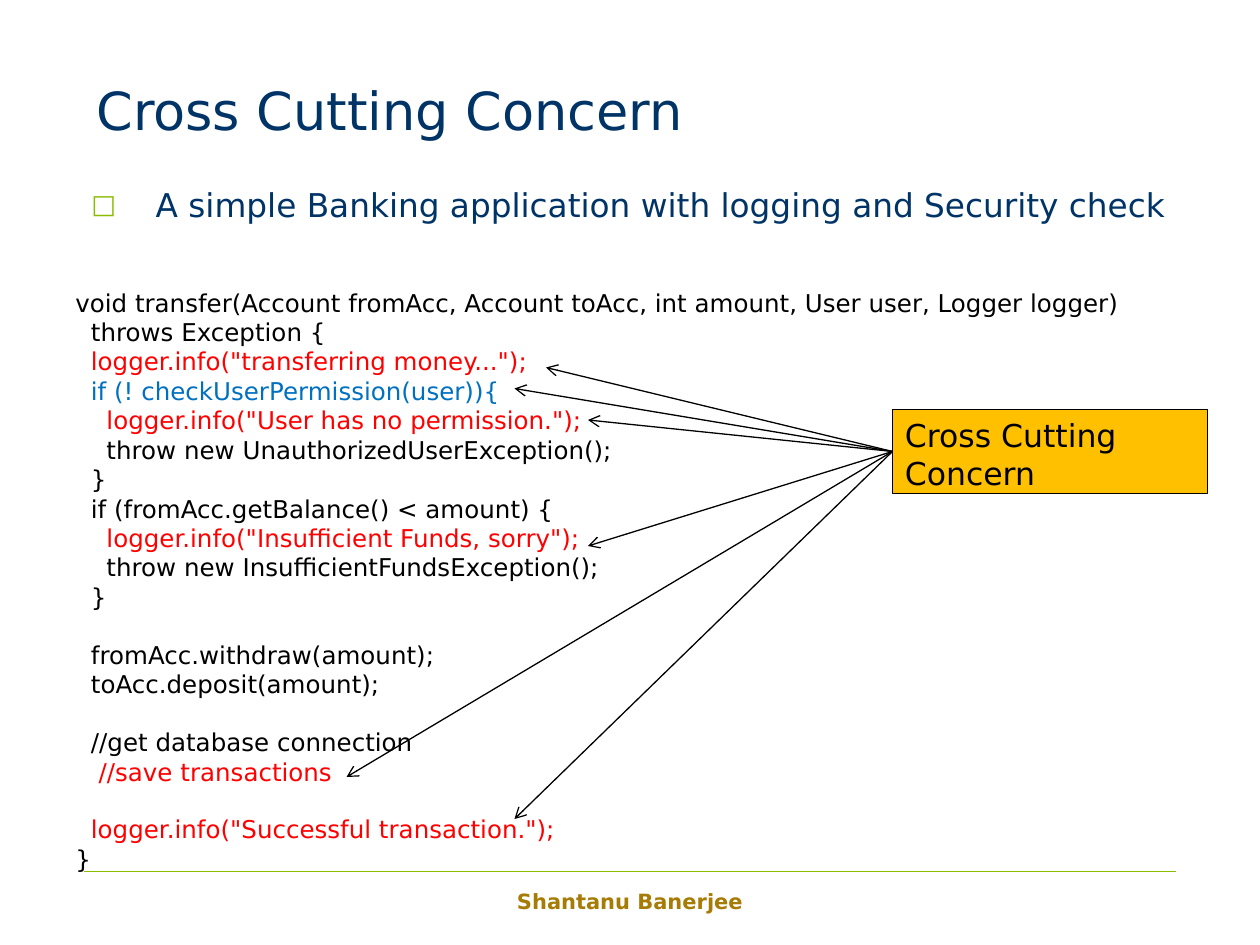
from dataclasses import dataclass
from typing import NamedTuple

from lxml import etree
from pptx import Presentation
from pptx.dml.color import RGBColor
from pptx.enum.shapes import MSO_CONNECTOR, MSO_SHAPE
from pptx.enum.text import MSO_ANCHOR, MSO_AUTO_SIZE, PP_ALIGN
from pptx.oxml.ns import qn
from pptx.util import Inches, Pt

LEFT, CENTER = PP_ALIGN.LEFT, PP_ALIGN.CENTER
TOP, BOTTOM = MSO_ANCHOR.TOP, MSO_ANCHOR.BOTTOM
STRAIGHT, RECT = MSO_CONNECTOR.STRAIGHT, MSO_SHAPE.RECTANGLE
NO_FIT = MSO_AUTO_SIZE.NONE
LEFT_SIDE = 1
CELL = Inches(10) / 120  # the slide is a grid of 120 columns by 90 rows


@dataclass(frozen=True)
class Theme:
    font: str = "DejaVu Sans"
    heading: str = "003366"
    accent: str = "8BBC00"
    author: str = "A67C06"
    ink: str = "000000"
    concern: str = "FF0000"
    security: str = "0070C0"
    callout: str = "FFC000"
    title_pt: float = 30
    bullet_pt: float = 18.7
    callout_pt: float = 18
    code_pt: float = 14
    author_pt: float = 12
    blank_line_pt: float = 16.3
    hairline_pt: float = 0.25
    line_pt: float = 0.75


T = Theme()


class Box(NamedTuple):
    col: float
    row: float
    cols: float
    rows: float


class CodeLine(NamedTuple):
    text: str
    color: str = T.ink
    blank_before: bool = False


CODE = (
    CodeLine("void transfer(Account fromAcc, Account toAcc, int amount, User user, Logger logger)"),
    CodeLine("  throws Exception {"),
    CodeLine('  logger.info("transferring money...");', T.concern),
    CodeLine("  if (! checkUserPermission(user)){", T.security),
    CodeLine('    logger.info("User has no permission.");', T.concern),
    CodeLine("    throw new UnauthorizedUserException();"),
    CodeLine("  }"),
    CodeLine("  if (fromAcc.getBalance() < amount) {"),
    CodeLine('    logger.info("Insufficient Funds, sorry");', T.concern),
    CodeLine("    throw new InsufficientFundsException();"),
    CodeLine("  }"),
    CodeLine("  fromAcc.withdraw(amount);", blank_before=True),
    CodeLine("  toAcc.deposit(amount);"),
    CodeLine("  //get database connection", blank_before=True),
    CodeLine("   //save transactions", T.concern),
    CodeLine('  logger.info("Successful transaction.");', T.concern, True),
    CodeLine("}"),
)
CONCERN_POINTS = ((52, 35), (49, 37), (56, 40), (56, 52), (33, 74), (49, 78))


def grid(*cells: float) -> list[int]:
    return [round(c * CELL) for c in cells]


def place(shape, box: Box) -> None:
    shape.left, shape.top, shape.width, shape.height = grid(*box)


def frame(shape, anchor=TOP):
    """Prepare a wrapping text frame with the common insets."""
    tf = shape.text_frame
    tf.word_wrap, tf.auto_size, tf.vertical_anchor = True, NO_FIT, anchor
    tf.margin_left = tf.margin_right = Inches(0.1)
    tf.margin_top = tf.margin_bottom = Inches(0.05)
    return tf


def write(p, text: str, *, size: float, color: str, bold=False, align=LEFT, before=0.0) -> None:
    p.alignment, p.space_before = align, Pt(before)
    r = p.add_run()
    r.text = text
    r.font.name, r.font.size, r.font.bold = T.font, Pt(size), bold
    r.font.color.rgb = RGBColor.from_string(color)


def add_bullet(p, char: str, color: str, indent: float) -> None:
    pPr = p._p.get_or_add_pPr()
    pPr.set("marL", str(Inches(indent)))
    pPr.set("indent", str(-Inches(indent)))
    clr = etree.SubElement(pPr, qn("a:buClr"))
    etree.SubElement(clr, qn("a:srgbClr"), val=color)
    etree.SubElement(pPr, qn("a:buSzPct"), val="80000")
    etree.SubElement(pPr, qn("a:buFont"), typeface=T.font)
    etree.SubElement(pPr, qn("a:buChar"), char=char)


def add_line(s, start, end, *, color: str, width: float, arrow=False):
    line = s.shapes.add_connector(STRAIGHT, *grid(*start, *end))
    line.line.color.rgb = RGBColor.from_string(color)
    line.line.width = Pt(width)
    if arrow:
        etree.SubElement(line.line._get_or_add_ln(), qn("a:tailEnd"), type="arrow")
    etree.SubElement(line._element.spPr, qn("a:effectLst"))
    return line


def add_text(s, box: Box):
    return frame(s.shapes.add_textbox(*grid(*box)))


def add_callout(s, box: Box, text: str):
    sp = s.shapes.add_shape(RECT, *grid(*box))
    sp.shadow.inherit = False
    sp.fill.solid()
    sp.fill.fore_color.rgb = RGBColor.from_string(T.callout)
    sp.line.color.rgb = RGBColor.from_string(T.ink)
    sp.line.width = Pt(T.line_pt)
    write(frame(sp).paragraphs[0], text, size=T.callout_pt, color=T.ink)
    return sp


def add_code(s, box: Box, lines: tuple[CodeLine, ...]) -> None:
    tf = add_text(s, box)
    for i, line in enumerate(lines):
        p = tf.add_paragraph() if i else tf.paragraphs[0]
        write(p, line.text, size=T.code_pt, color=line.color,
              before=T.blank_line_pt if line.blank_before else 0)


def main() -> None:
    prs = Presentation()
    prs.slide_width, prs.slide_height = grid(120, 90)
    s = prs.slides.add_slide(prs.slide_layouts[1])

    add_line(s, (8, 83), (112, 83), color=T.accent, width=T.hairline_pt)

    title, body = s.placeholders
    place(title, Box(8, 2, 105, 12))
    write(frame(title, BOTTOM).paragraphs[0], "Cross Cutting Concern",
          size=T.title_pt, color=T.heading)

    place(body, Box(7.5, 17, 105, 5))
    p = frame(body).paragraphs[0]
    add_bullet(p, "□", T.accent, 0.51)
    write(p, "A simple Banking application with logging and Security check",
          size=T.bullet_pt, color=T.heading)

    write(add_text(s, Box(41, 84, 38, 4.2)).paragraphs[0], "Shantanu Banerjee",
          size=T.author_pt, color=T.author, bold=True, align=CENTER)
    add_code(s, Box(6, 26.8, 107, 57.2), CODE)

    callout = add_callout(s, Box(85, 39, 30, 8), "Cross Cutting Concern")
    for point in CONCERN_POINTS:
        arrow = add_line(s, (85, 43), point, color=T.ink, width=T.line_pt, arrow=True)
        arrow.begin_connect(callout, LEFT_SIDE)

    prs.save("out.pptx")


if __name__ == "__main__":
    main()
